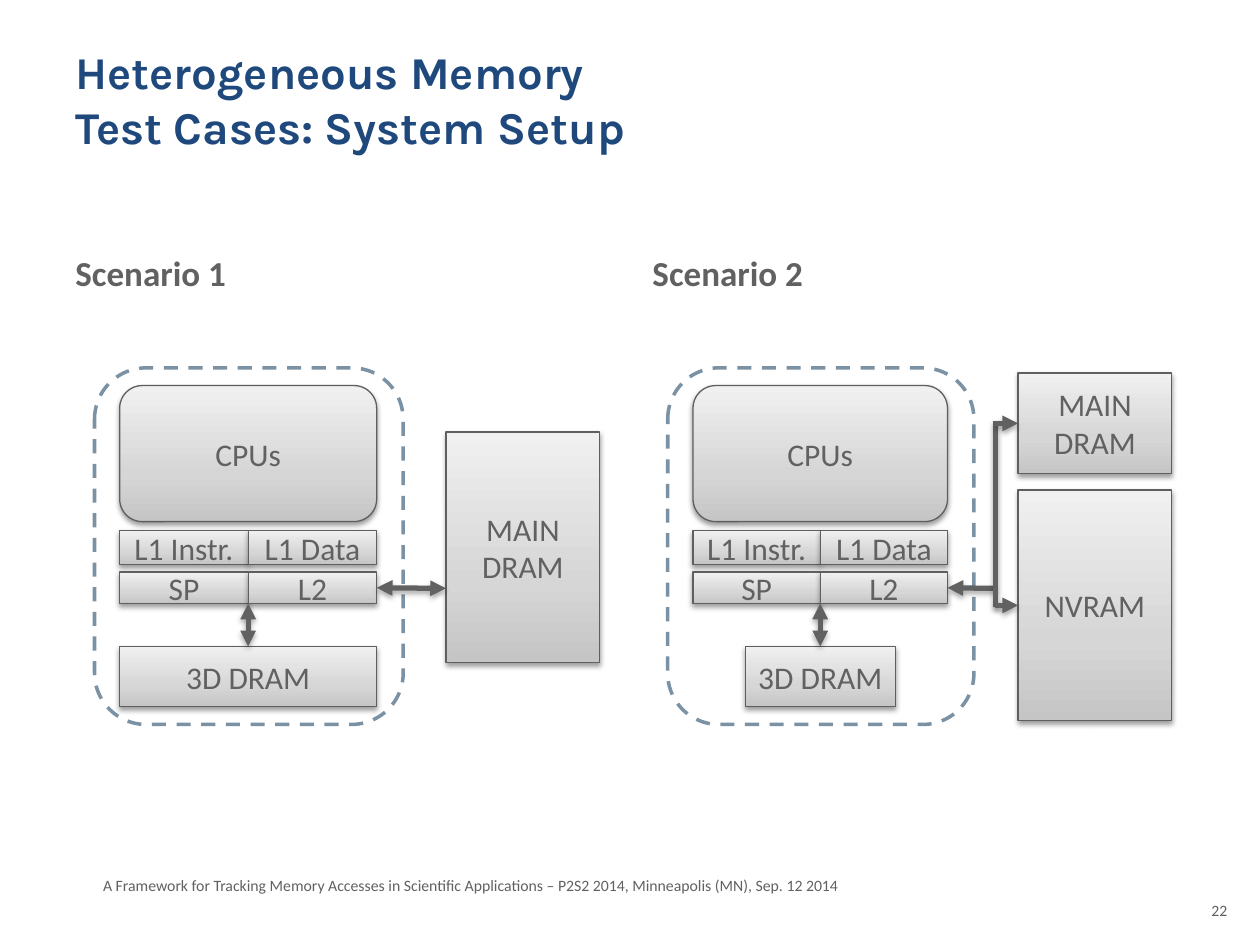
import dataclasses

import pptx
import pptx.dml.color
import pptx.enum.dml
import pptx.enum.shapes
import pptx.enum.text
import pptx.oxml
import pptx.oxml.ns
import pptx.util
from pptx.util import Inches

SHAPES = pptx.enum.shapes.MSO_SHAPE
ALIGN = pptx.enum.text.PP_ALIGN
ANCHOR = pptx.enum.text.MSO_ANCHOR
NAMESPACE = pptx.oxml.ns.nsdecls("a")


@dataclasses.dataclass(frozen=True)
class Theme:
    title_font: str = "Karla"
    body_font: str = "Calibri"
    title_color: str = "1F497D"
    text_color: str = "616161"
    outline: str = "5F5F5F"
    dashed: str = "7B91A4"
    gradient: tuple = ((0, "C5C5C5"), (35, "D6D6D6"), (100, "F0F0F0"))
    title_size: int = 26
    heading_size: int = 20
    block_size: int = 18
    footer_size: int = 9


THEME = Theme()


def rgb(value):
    return pptx.dml.color.RGBColor.from_string(value)


def write_text(shape, text, size, color=THEME.text_color, font=THEME.body_font,
               bold=False, align=ALIGN.LEFT, anchor=ANCHOR.TOP, inset=None):
    frame = shape.text_frame
    frame.word_wrap = True
    frame.auto_size = pptx.enum.text.MSO_AUTO_SIZE.NONE
    frame.vertical_anchor = anchor
    if inset is not None:
        frame.margin_left = frame.margin_right = Inches(inset)
        frame.margin_top = frame.margin_bottom = Inches(inset)
    frame.text = text
    for paragraph in frame.paragraphs:
        paragraph.alignment = align
        for run in paragraph.runs:
            run.font.name = font
            run.font.size = pptx.util.Pt(size)
            run.font.bold = bold
            run.font.color.rgb = rgb(color)


def add_label(slide, text, left, top, width, height, size, **text_format):
    box = slide.shapes.add_textbox(Inches(left), Inches(top), Inches(width), Inches(height))
    write_text(box, text, size, **text_format)


def make_shadow(distance, opacity):
    return pptx.oxml.parse_xml(
        f'<a:effectLst {NAMESPACE}><a:outerShdw blurRad="{pptx.util.Pt(3.1)}" '
        f'dist="{pptx.util.Pt(distance)}" dir="5400000" rotWithShape="0">'
        f'<a:srgbClr val="000000"><a:alpha val="{opacity * 1000}"/></a:srgbClr>'
        '</a:outerShdw></a:effectLst>')


def fill_gradient(shape):
    shape.fill.gradient()
    shape.fill.gradient_angle = 90
    stops = "".join(f'<a:gs pos="{position * 1000}"><a:srgbClr val="{color}"/></a:gs>'
                    for position, color in THEME.gradient)
    old_stops = shape.element.spPr.find(".//" + pptx.oxml.ns.qn("a:gsLst"))
    old_stops.getparent().replace(
        old_stops, pptx.oxml.parse_xml(f"<a:gsLst {NAMESPACE}>{stops}</a:gsLst>"))


def add_block(slide, text, left, top, width, height, kind=SHAPES.RECTANGLE):
    shape = slide.shapes.add_shape(kind, Inches(left), Inches(top), Inches(width), Inches(height))
    fill_gradient(shape)
    shape.line.color.rgb = rgb(THEME.outline)
    shape.line.width = pptx.util.Pt(0.75)
    shape.element.spPr.append(make_shadow(1.6, 38))
    write_text(shape, text, THEME.block_size, align=ALIGN.CENTER, anchor=ANCHOR.MIDDLE, inset=0)
    return shape


def add_boundary(slide, left, top, width, height):
    shape = slide.shapes.add_shape(SHAPES.ROUNDED_RECTANGLE, Inches(left), Inches(top),
                                   Inches(width), Inches(height))
    shape.shadow.inherit = False
    shape.fill.background()
    shape.line.color.rgb = rgb(THEME.dashed)
    shape.line.width = pptx.util.Pt(2)
    shape.line.dash_style = pptx.enum.dml.MSO_LINE.DASH


def add_arrow(slide, start, end, heads=(), begin=None, finish=None):
    connector = slide.shapes.add_connector(
        pptx.enum.shapes.MSO_CONNECTOR.STRAIGHT, *map(Inches, start + end))
    if begin:
        connector.begin_connect(*begin)
    if finish:
        connector.end_connect(*finish)
    connector.line.color.rgb = rgb(THEME.text_color)
    connector.line.width = pptx.util.Pt(3)
    outline = connector.line._get_or_add_ln()
    for head in heads:
        outline.append(pptx.oxml.parse_xml(f'<a:{head} {NAMESPACE} type="triangle"/>'))
    connector.element.spPr.append(make_shadow(1.8, 35))


def add_processor(slide, left, cell, stacked_width):
    middle = left + cell
    add_boundary(slide, left - 0.2, 2.92, 2 * cell + 0.41, 2.83)
    add_block(slide, "CPUs", left, 3.06, 2 * cell, 1.08, SHAPES.ROUNDED_RECTANGLE)
    add_block(slide, "L1 Instr.", left, 4.21, cell, 0.27)
    add_block(slide, "L1 Data", middle, 4.21, cell, 0.27)
    add_block(slide, "SP", left, 4.54, cell, 0.25)
    cache = add_block(slide, "L2", middle, 4.54, cell, 0.25)
    stacked = add_block(slide, "3D DRAM", middle - stacked_width / 2, 5.13, stacked_width, 0.48)
    add_arrow(slide, (middle, 4.79), (middle, 5.13), ("headEnd", "tailEnd"), finish=(stacked, 0))
    return cache


def add_first_scenario(slide):
    cache = add_processor(slide, 0.95, 1.02, 2.04)
    add_block(slide, "MAIN\nDRAM", 3.54, 3.43, 1.22, 1.83)
    add_arrow(slide, (2.99, 4.67), (3.54, 4.67), ("headEnd", "tailEnd"), begin=(cache, 3))


def add_second_scenario(slide):
    bus = 7.9
    cache = add_processor(slide, 5.5, 1.01, 1.19)
    add_arrow(slide, (7.52, 4.67), (bus, 4.67), ("headEnd",), begin=(cache, 3))
    add_arrow(slide, (bus, 4.82), (bus, 3.34))
    for text, top, height in (("MAIN\nDRAM", 2.96, 0.8), ("NVRAM", 3.89, 1.83)):
        memory = add_block(slide, text, 8.08, top, 1.22, height)
        center = top + height / 2
        add_arrow(slide, (8.08, center), (bus, center), ("headEnd",), begin=(memory, 1))


def add_title(slide, text):
    title = slide.shapes.title
    title.left, title.top = Inches(0.5), Inches(0.3)
    title.width, title.height = Inches(9), Inches(1.25)
    write_text(title, text, THEME.title_size, color=THEME.title_color,
               font=THEME.title_font, bold=True)


def main():
    presentation = pptx.Presentation()
    presentation.slide_width, presentation.slide_height = Inches(10), Inches(7.5)
    slide = presentation.slides.add_slide(presentation.slide_layouts[5])
    add_title(slide, "Heterogeneous Memory\vTest Cases: System Setup")
    for left, heading in ((0.5, "Scenario 1"), (5.08, "Scenario 2")):
        add_label(slide, heading, left, 1.68, 4.42, 0.7, THEME.heading_size,
                  bold=True, anchor=ANCHOR.BOTTOM)
    add_first_scenario(slide)
    add_second_scenario(slide)
    add_label(slide, "A Framework for Tracking Memory Accesses in Scientific Applications – "
              "P2S2 2014, Minneapolis (MN), Sep. 12 2014", 0.72, 6.9, 6.5, 0.25, THEME.footer_size)
    add_label(slide, "22", 9.42, 7.1, 0.42, 0.4, THEME.footer_size, align=ALIGN.RIGHT)
    presentation.save("out.pptx")


if __name__ == "__main__":
    main()
